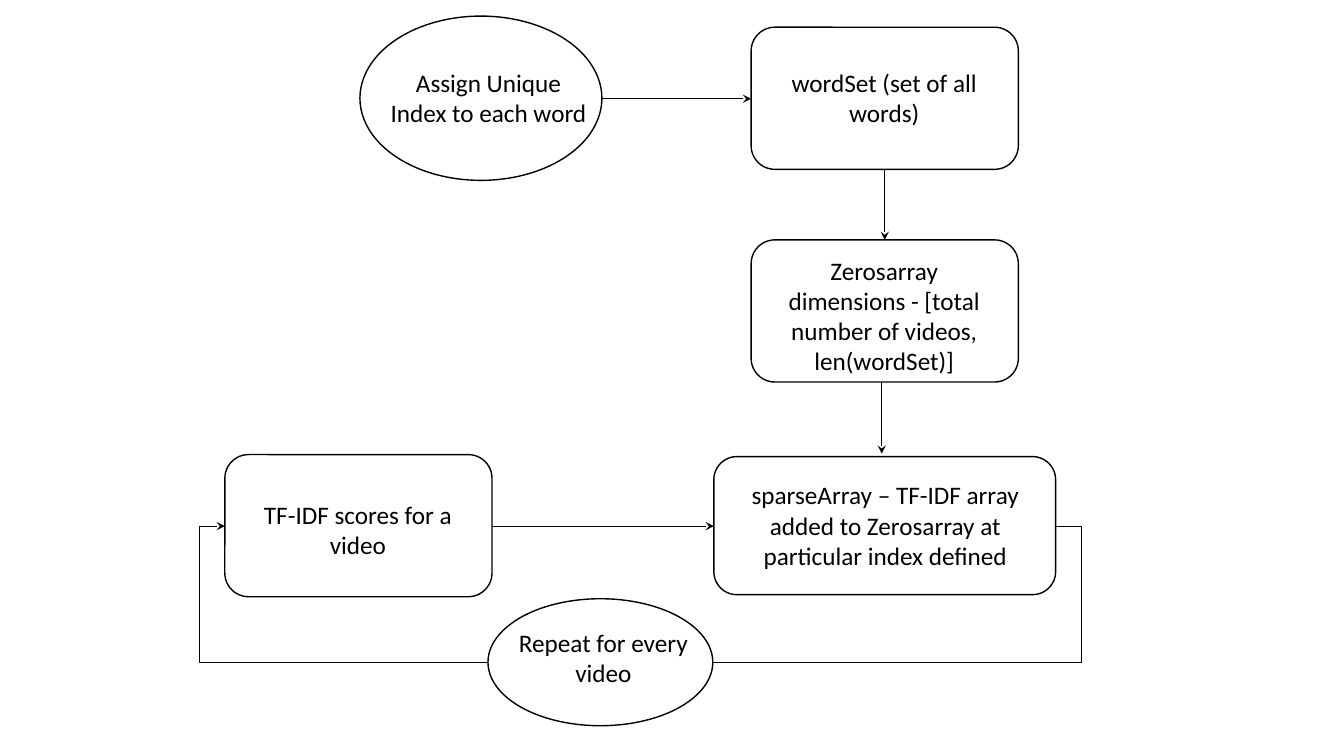
from lxml import etree
from pptx import Presentation
from pptx import util as u
from pptx.dml.color import RGBColor
from pptx.enum import shapes, text
from pptx.oxml.ns import qn

INK, PAPER = "000000", "FFFFFF"
OVAL = shapes.MSO_SHAPE.OVAL
ROUND = shapes.MSO_SHAPE.ROUNDED_RECTANGLE


def paint(part, tone):
    part.rgb = RGBColor.from_string(tone)


def node(slide, kind, box, inset, words):
    left, top, width, height = box
    shape = slide.shapes.add_shape(kind, *map(u.Inches, box))
    shape.shadow.inherit = False
    shape.fill.solid()
    paint(shape.fill.fore_color, PAPER)
    paint(shape.line.color, INK)
    shape.line.width = u.Pt(1)

    dx, dy, wide, high = inset
    area = (left + dx, top + dy, wide, high)
    label = slide.shapes.add_textbox(*map(u.Inches, area))
    frame = label.text_frame
    frame.word_wrap = True
    frame.text = words
    line = frame.paragraphs[0]
    line.alignment = text.PP_ALIGN.CENTER
    font = line.runs[0].font
    font.name, font.size = "Calibri", u.Pt(18)
    paint(font.color, INK)


def link(slide, start, end, head=True, bend=None):
    kind = shapes.MSO_CONNECTOR.STRAIGHT if bend is None else shapes.MSO_CONNECTOR.ELBOW
    wire = slide.shapes.add_connector(kind, *map(u.Inches, start + end))
    paint(wire.line.color, INK)
    wire.line.width = u.Pt(0.5)
    props = wire._element.spPr
    if head:
        etree.SubElement(props.find(qn("a:ln")), qn("a:tailEnd"), type="stealth")
    if bend is not None:
        guides = props.find(qn("a:prstGeom")).find(qn("a:avLst"))
        ratio = round(bend / abs(end[0] - start[0]) * 100000)
        etree.SubElement(guides, qn("a:gd"), name="adj1", fmla=f"val {ratio}")
    etree.SubElement(props, qn("a:effectLst"))


def setup(slide, box):
    left, top, width, height = box
    wide, high = 2.65, 1.41
    right = left + width - wide
    mid, low = top + 0.82, top + 2.22
    node(slide, OVAL, (left, top, 2.4, 1.63), (0.2, 0.46, 2.15, 0.71),
         "Assign Unique Index to each word")
    node(slide, ROUND, (right, top + 0.11, wide, high), (0.1, 0.35, 2.44, 0.71),
         "wordSet (set of all words)")
    node(slide, ROUND, (right, low, wide, high), (0.1, 0.1, 2.44, 1.31),
         "Zerosarray dimensions - [total number of videos, len(wordSet)]")
    link(slide, (left + 2.4, mid), (right, mid))
    axis = right + wide / 2
    link(slide, (axis, top + 0.11 + high), (axis, low))
    link(slide, (axis - 0.03, low + high), (axis - 0.03, low + high + 0.71))


def cycle(slide, box):
    left, top, width, height = box
    right = left + width
    array, score, oval = right - 3.39, left + 2.65, left + 2.61
    mid, low = top + 0.71, top + 2.06
    node(slide, ROUND, (array, top + 0.02, 3.39, 1.37), (0.24, 0.18, 2.92, 1.01),
         "sparseArray – TF-IDF array added to Zerosarray at particular index defined")
    node(slide, ROUND, (left, top, 2.65, 1.41), (0.1, 0.39, 2.44, 0.71),
         "TF-IDF scores for a video")
    node(slide, OVAL, (oval, top + 1.43, 2.23, 1.26), (0.07, 0.23, 2.15, 0.71),
         "Repeat for every video")
    link(slide, (score, mid), (array, mid))
    link(slide, (right, mid), (oval + 2.23, low), False, -0.25)
    link(slide, (oval, low), (left, mid), True, oval - left + 0.25)


deck = Presentation()
deck.slide_width, deck.slide_height = u.Inches(13.33), u.Inches(7.5)
page = deck.slides.add_slide(deck.slide_layouts[6])
setup(page, (3.57, 0.16, 6.53, 3.63))
cycle(page, (2.23, 4.51, 8.24, 2.69))
deck.save("out.pptx")
